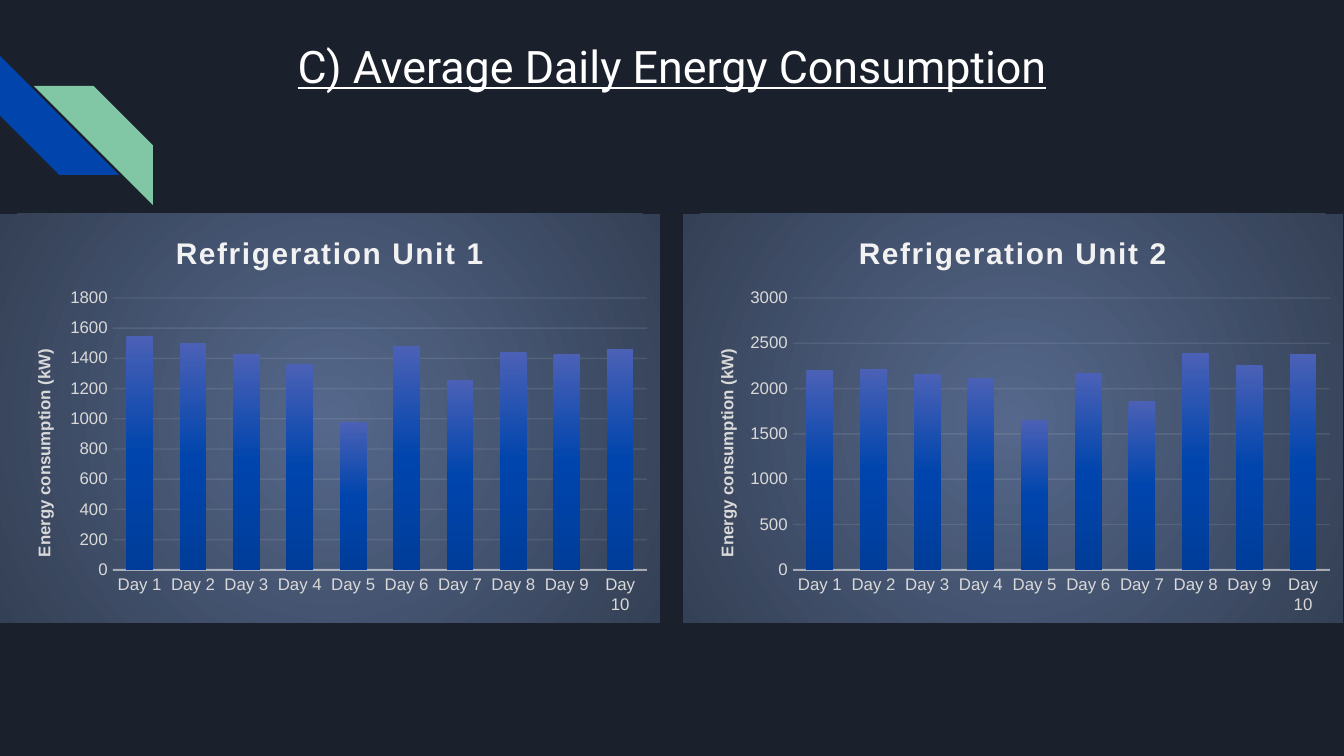
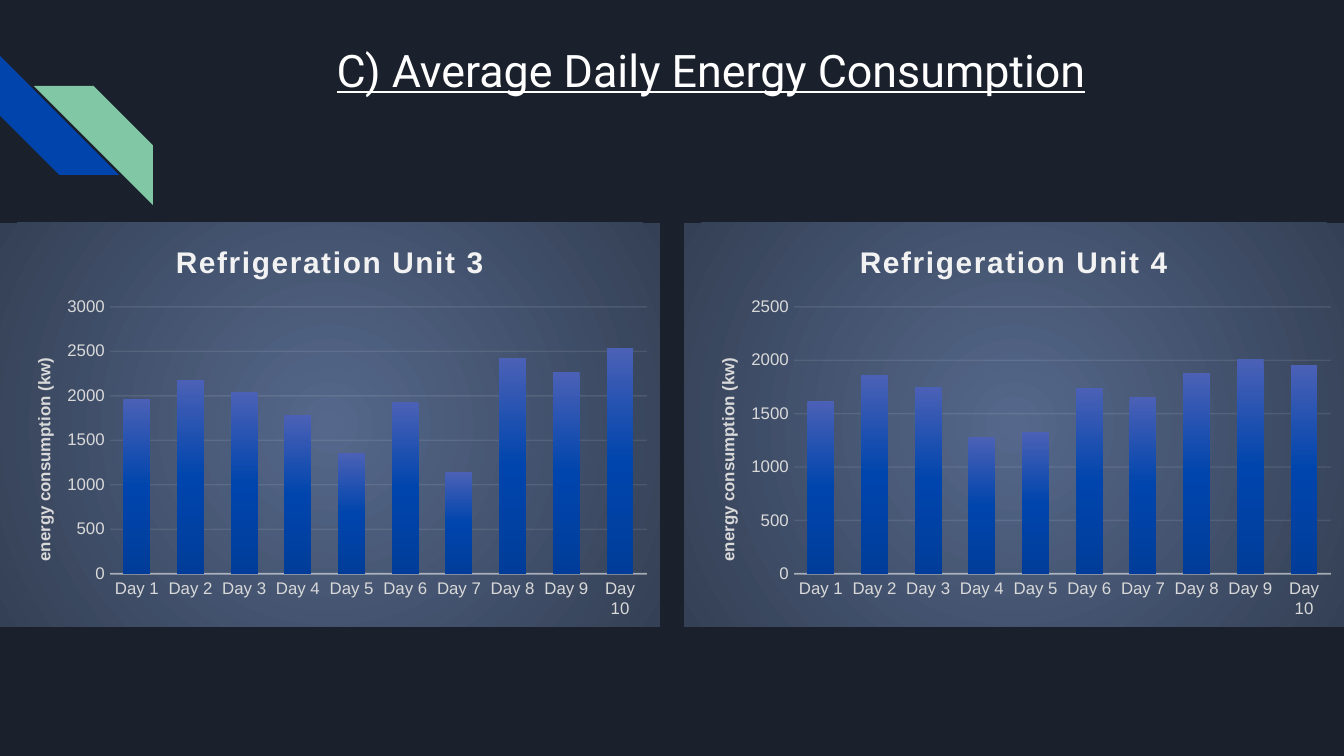
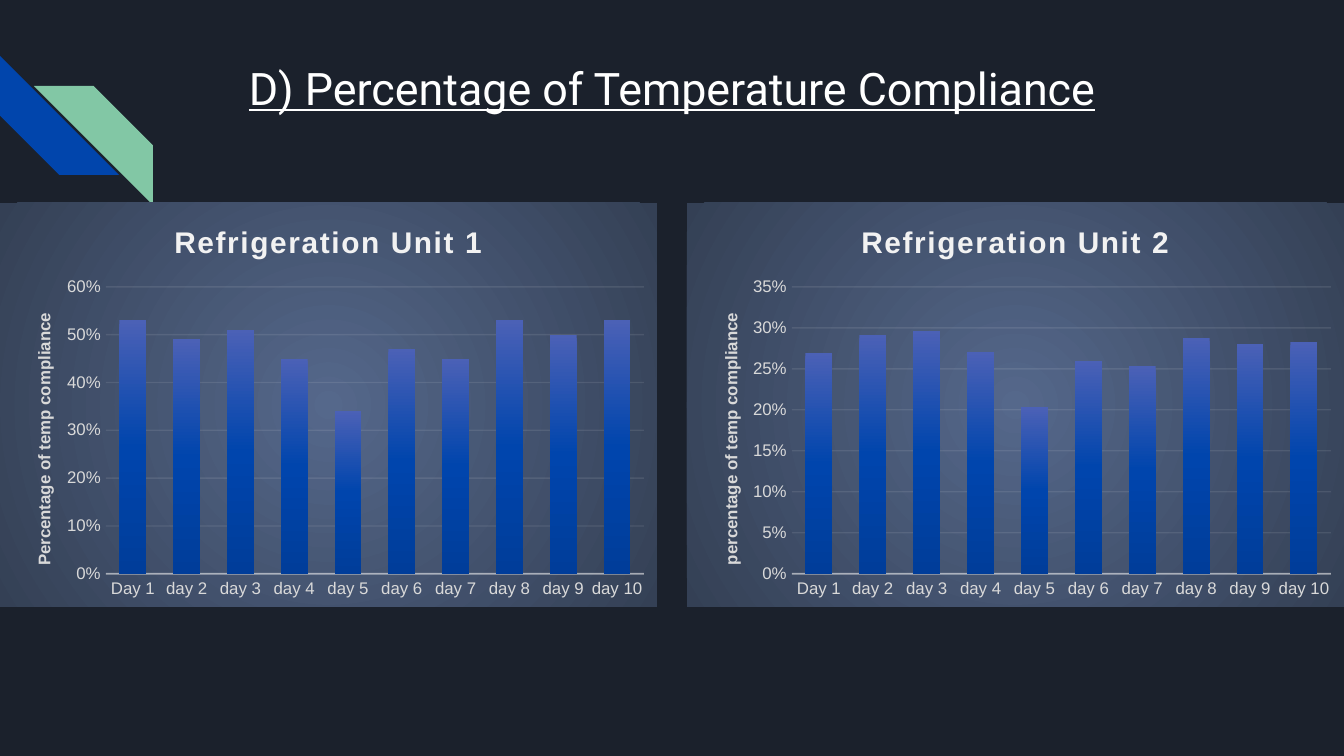
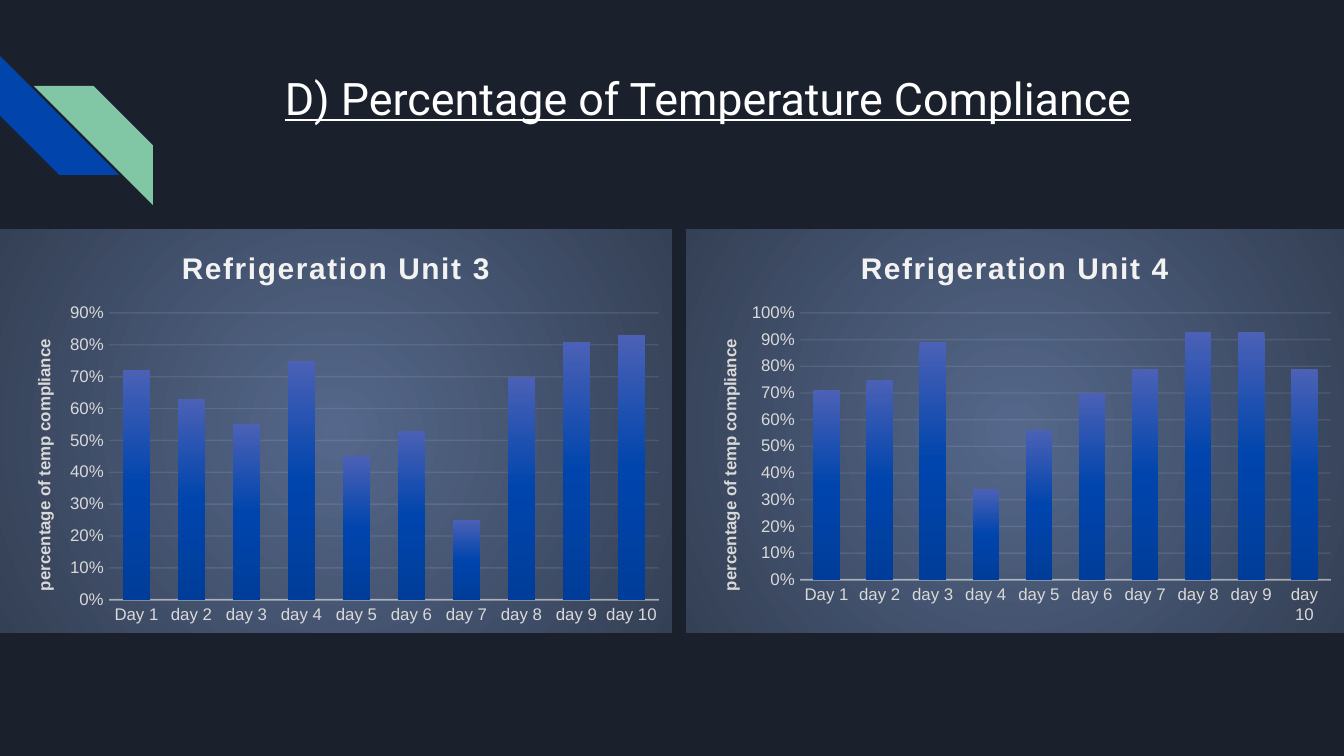
from dataclasses import dataclass

from pptx import Presentation
from pptx.chart.data import CategoryChartData as ChartData
from pptx.dml.color import RGBColor as RGB
from pptx.enum.chart import XL_CHART_TYPE as Kind, XL_TICK_MARK as Tick
from pptx.enum.shapes import MSO_SHAPE as Form
from pptx.enum.text import MSO_ANCHOR as Anchor, PP_ALIGN as Align
from pptx.oxml import parse_xml
from pptx.oxml.ns import nsdecls, qn
from pptx.util import Pt

SCALE = 9144000 / 1344
WIDE, HIGH = 1344, 756
COLORS = {
    "back": "1B212C",
    "blue": "0145AC",
    "green": "82C7A5",
    "white": "FFFFFF",
    "head": "F2F2F2",
    "label": "D9D9D9",
    "glow": "55688B",
    "edge": "344055",
    "top": "4B61B6",
    "mid": "0045AD",
    "base": "003D9A",
}
PLOT_TOP, PLOT_END = 84, 13
NAME_LEFT = 30


@dataclass(frozen=True)
class Box:
    left: int
    top: int
    width: int
    height: int


@dataclass(frozen=True)
class Stripe:
    box: Box
    color: str
    turn: int = 0
    flip: bool = False


@dataclass(frozen=True)
class Style:
    series: str
    day: str
    form: str
    name_top: int


@dataclass(frozen=True)
class Graph:
    unit: int
    box: Box
    style: Style
    name: str
    left: int
    foot: int
    vals: tuple[float, ...]


@dataclass(frozen=True)
class Page:
    title: str
    box: Box
    pad: int
    graphs: tuple[Graph, ...]


STRIPES = (
    Stripe(Box(0, 56, 119, 119), "blue", turn=270),
    Stripe(Box(34, 86, 119, 119), "green", flip=True),
)
POWER = Style("Refrigeration Unit {}", "Day", "General", 132)
SHARE = Style("Series 1", "day", "0%", 107)
POWER_HEAD = "C) Average Daily Energy Consumption"
SHARE_HEAD = "D) Percentage of Temperature Compliance"
KW_UP = "Energy consumption (kW)"
KW_LOW = "energy consumption (kw)"
TEMP_UP = "Percentage of temp compliance"
TEMP_LOW = "percentage of temp compliance"

PAGES = (
    Page(POWER_HEAD, Box(205, 26, 934, 103), 13, (
        Graph(1, Box(0, 214, 660, 409), POWER, KW_UP, 113, 356,
              (1550, 1500, 1430, 1360, 980, 1480, 1260, 1440, 1430, 1460)),
        Graph(2, Box(683, 214, 660, 409), POWER, KW_UP, 110, 356,
              (2200, 2220, 2160, 2120, 1650, 2170, 1860, 2390, 2260, 2380)),
    )),
    Page(POWER_HEAD, Box(224, 36, 974, 67), 7, (
        Graph(3, Box(0, 223, 660, 404), POWER, KW_LOW, 110, 351,
              (1970, 2180, 2040, 1780, 1360, 1930, 1140, 2430, 2270, 2540)),
        Graph(4, Box(684, 223, 660, 404), POWER, KW_LOW, 110, 351,
              (1620, 1860, 1750, 1280, 1330, 1740, 1660, 1880, 2010, 1960)),
    )),
    Page(SHARE_HEAD, Box(155, 48, 1034, 134), 13, (
        Graph(1, Box(0, 203, 657, 404), SHARE, TEMP_UP, 106, 371,
              (0.53, 0.49, 0.51, 0.45, 0.34, 0.47, 0.45, 0.53, 0.5, 0.53)),
        Graph(2, Box(687, 203, 657, 404), SHARE, TEMP_LOW, 105, 371,
              (0.269, 0.291, 0.296, 0.27, 0.203,
               0.26, 0.253, 0.288, 0.28, 0.283)),
    )),
    Page(SHARE_HEAD, Box(191, 58, 1034, 134), 13, (
        Graph(3, Box(0, 229, 672, 404), SHARE, TEMP_LOW, 109, 371,
              (0.72, 0.63, 0.55, 0.75, 0.45, 0.53, 0.25, 0.7, 0.81, 0.83)),
        Graph(4, Box(686, 229, 658, 404), SHARE, TEMP_LOW, 114, 351,
              (0.71, 0.75, 0.89, 0.34, 0.56, 0.7, 0.79, 0.93, 0.93, 0.79)),
    )),
)


def px(num: int) -> int:
    return round(num * SCALE)


def frame(box: Box) -> tuple[int, ...]:
    return px(box.left), px(box.top), px(box.width), px(box.height)


def tint(key: str) -> RGB:
    return RGB.from_string(COLORS[key])


def style_font(font, face: str, size: int, key: str, bold: bool = False) -> None:
    font.name = face
    font.size = Pt(size)
    font.bold = bold
    font.color.rgb = tint(key)


def blend(stops: dict[int, str], way: str) -> str:
    marks = "".join(
        f'<a:gs pos="{pos * 1000}"><a:srgbClr val="{COLORS[key]}"/></a:gs>'
        for pos, key in stops.items()
    )
    return (f'<c:spPr {nsdecls("c", "a")}><a:gradFill rotWithShape="1">'
            f'<a:gsLst>{marks}</a:gsLst>{way}</a:gradFill>'
            '<a:ln><a:noFill/></a:ln></c:spPr>')


def soft_line(line, size: float, alpha: int) -> None:
    line.width = Pt(size)
    line.color.rgb = tint("head")
    color = line._ln.find(".//" + qn("a:srgbClr"))
    color.append(parse_xml(
        f'<a:alpha {nsdecls("a")} val="{alpha * 1000}"/>'))


def place(node, index: int, inner: bool, **parts: float) -> None:
    old = node.find(qn("c:layout"))
    if old is not None:
        node.remove(old)
    aim = '<c:layoutTarget val="inner"/>' if inner else ""
    modes = "".join(f'<c:{key}Mode val="edge"/>' for key in "xy")
    sizes = "".join(
        f'<c:{key} val="{val:.4f}"/>' for key, val in parts.items())
    node.insert(index, parse_xml(
        f'<c:layout {nsdecls("c")}><c:manualLayout>{aim}{modes}{sizes}'
        '</c:manualLayout></c:layout>'))


def draw_stripe(slide, item: Stripe) -> None:
    shape = slide.shapes.add_shape(Form.DIAGONAL_STRIPE, *frame(item.box))
    shape.shadow.inherit = False
    shape.adjustments[0] = 0.5
    shape.fill.solid()
    shape.fill.fore_color.rgb = tint(item.color)
    shape.line.fill.background()
    shape.rotation = item.turn
    if item.flip:
        shape._element.spPr.find(qn("a:xfrm")).set("flipH", "1")


def draw_title(slide, page: Page) -> None:
    text = slide.shapes.add_textbox(*frame(page.box)).text_frame
    text.word_wrap = True
    text.vertical_anchor = Anchor.TOP
    text.margin_left = text.margin_right = px(13)
    text.margin_top = text.margin_bottom = px(page.pad)
    para = text.paragraphs[0]
    para.alignment = Align.CENTER
    run = para.add_run()
    run.text = page.title
    style_font(run.font, "Roboto", 24, "white")
    run.font.underline = True


def style_axes(chart, graph: Graph) -> None:
    days, scale = chart.category_axis, chart.value_axis
    for axis in (days, scale):
        axis.major_tick_mark = axis.minor_tick_mark = Tick.NONE
        style_font(axis.tick_labels.font, "Arial", 9, "label")
    days.has_major_gridlines = False
    soft_line(days.format.line, 1, 54)
    scale.format.line.fill.background()
    scale.has_major_gridlines = True
    soft_line(scale.major_gridlines.format.line, 0.75, 10)
    scale.minimum_scale = 0
    scale.tick_labels.number_format = graph.style.form
    scale.tick_labels.number_format_is_linked = False

    text = scale.axis_title.text_frame
    run = text.paragraphs[0].add_run()
    run.text = graph.name
    style_font(run.font, "Arial", 9, "label", True)
    turn = text._txBody.bodyPr
    turn.set("rot", "-5400000")
    turn.set("vert", "horz")
    place(scale.axis_title._element, 1, False,
          x=NAME_LEFT / graph.box.width,
          y=graph.style.name_top / graph.box.height)


def draw_graph(slide, graph: Graph) -> None:
    box, style = graph.box, graph.style
    data = ChartData(number_format=style.form)
    data.categories = [
        f"{'Day' if num == 1 else style.day} {num}" for num in range(1, 11)]
    data.add_series(style.series.format(graph.unit), graph.vals)
    chart = slide.shapes.add_chart(
        Kind.COLUMN_CLUSTERED, *frame(box), data).chart
    style_font(chart.font, "Arial", 10, "back")
    chart.has_legend = False
    chart.has_title = True
    run = chart.chart_title.text_frame.paragraphs[0].add_run()
    run.text = f"Refrigeration Unit {graph.unit}"
    style_font(run.font, "Arial", 16, "head", True)
    run._r.get_or_add_rPr().set("spc", "100")

    plot = chart.plots[0]
    plot.vary_by_categories = False
    plot.gap_width = 100
    plot.overlap = -24
    bars = plot.series[0]._element
    old = bars.get_or_add_spPr()
    bars.replace(old, parse_xml(blend(
        {0: "top", 50: "mid", 100: "base"},
        '<a:lin ang="5400000" scaled="0"/>')))
    style_axes(chart, graph)

    body = chart._chartSpace.find(qn("c:chart"))
    body.addnext(parse_xml(blend(
        {0: "glow", 100: "edge"},
        '<a:path path="circle"><a:fillToRect l="50000" t="50000" '
        'r="50000" b="50000"/></a:path>')))
    place(body.find(qn("c:plotArea")), 0, True,
          x=graph.left / box.width,
          y=PLOT_TOP / box.height,
          w=(box.width - PLOT_END - graph.left) / box.width,
          h=(graph.foot - PLOT_TOP) / box.height)


def main() -> None:
    deck = Presentation()
    deck.slide_width, deck.slide_height = px(WIDE), px(HIGH)
    back = deck.slide_master.background.fill
    back.solid()
    back.fore_color.rgb = tint("back")
    for page in PAGES:
        slide = deck.slides.add_slide(deck.slide_layouts[6])
        for stripe in STRIPES:
            draw_stripe(slide, stripe)
        draw_title(slide, page)
        for graph in page.graphs:
            draw_graph(slide, graph)
    deck.save("out.pptx")


if __name__ == "__main__":
    main()
